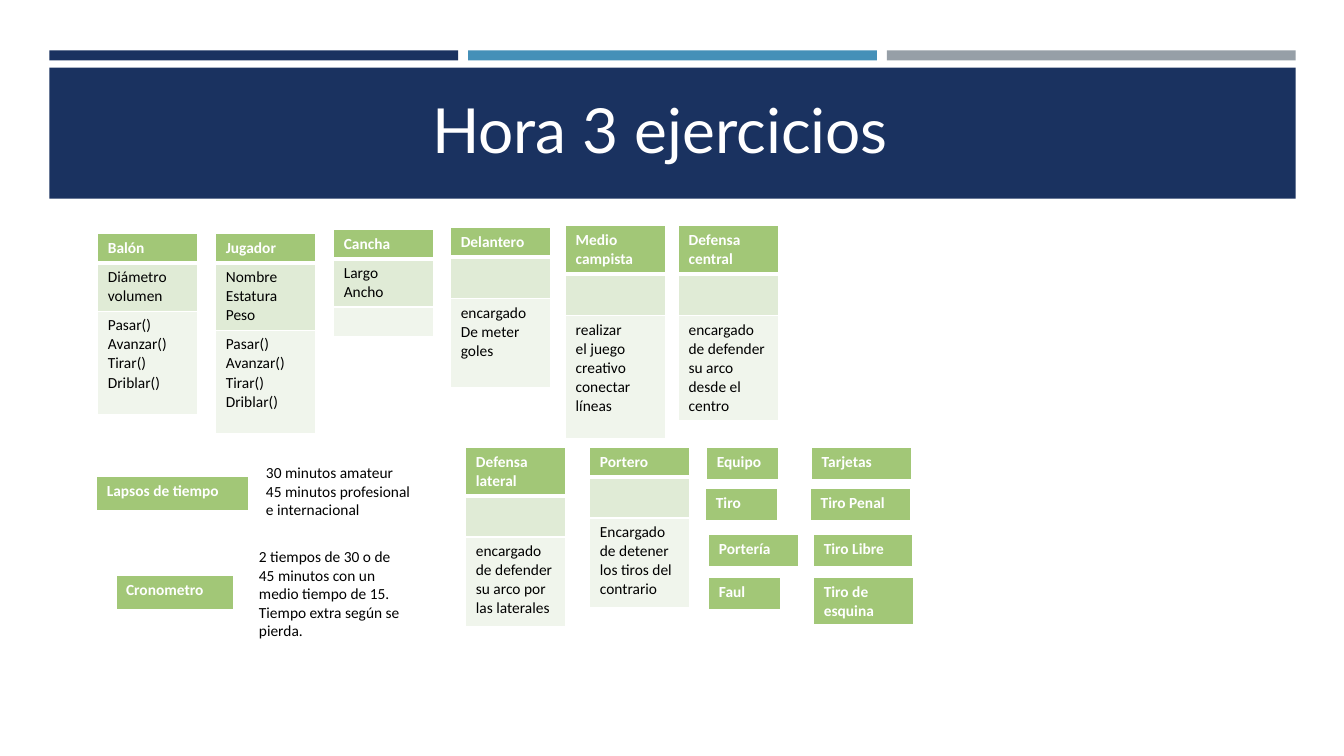
from dataclasses import dataclass

import pptx
import pptx.dml.color
import pptx.enum.shapes
import pptx.enum.text
import pptx.oxml
import pptx.oxml.ns
import pptx.util

Inches, Pt = pptx.util.Inches, pptx.util.Pt


@dataclass(frozen=True)
class Theme:
    navy: str = "1A3260"
    blue: str = "4590B8"
    gray: str = "969FA7"
    white: str = "FFFFFF"
    black: str = "000000"
    head: str = "A2C777"
    attributes: str = "E0EBD6"
    methods: str = "F0F5EC"
    title_font: str = "Lato"
    body_font: str = "Calibri"
    title_size: float = 44.4
    body_size: float = 11


T = Theme()
ONE_LINE, TWO_LINES, THREE_LINES = 0.28, 0.47, 0.66
EMPTY = 0.41

# Class boxes: left, top, then text and height of each row
CLASSES = [
    (0.97, 2.32, [("Balón", ONE_LINE), ("Diámetro\nvolumen", TWO_LINES),
                  ("Pasar()\nAvanzar()\nTirar()\nDriblar()", 1.03)]),
    (2.14, 2.32, [("Jugador", ONE_LINE), ("Nombre\nEstatura\nPeso", THREE_LINES),
                  ("Pasar()\nAvanzar()\nTirar()\nDriblar()", 1.03)]),
    (4.47, 2.26, [("Delantero", ONE_LINE), ("", EMPTY),
                  ("encargado\nDe meter goles", 0.89)]),
    (3.31, 2.28, [("Cancha", ONE_LINE), ("Largo\nAncho", TWO_LINES), ("", ONE_LINE)]),
    (5.61, 2.24, [("Medio campista", TWO_LINES), ("", EMPTY),
                  ("realizar\nel juego\ncreativo\nconectar líneas", 1.22)]),
    (6.73, 2.24, [("Defensa central", TWO_LINES), ("", EMPTY),
                  ("encargado de defender su arco desde el centro", 1.03)]),
    (4.62, 4.44, [("Defensa lateral", TWO_LINES), ("", EMPTY),
                  ("encargado de defender su arco por las laterales", 0.89)]),
    (5.85, 4.44, [("Portero", ONE_LINE), ("", EMPTY),
                  ("Encargado de detener los tiros del contrario", 0.89)]),
]

# Single-name boxes: text, left, top, width, height
TAGS = [
    ("Lapsos de tiempo", 0.96, 4.73, 1.51, 0.35),
    ("Cronometro", 1.15, 5.71, 1.17, 0.35),
    ("Equipo", 7.01, 4.44, 0.71, 0.33),
    ("Tiro", 7.0, 4.85, 0.71, 0.33),
    ("Portería", 7.03, 5.3, 0.89, 0.33),
    ("Faul", 7.03, 5.73, 0.71, 0.33),
    ("Tarjetas", 8.05, 4.44, 0.99, 0.33),
    ("Tiro Penal", 8.04, 4.85, 0.99, 0.33),
    ("Tiro Libre", 8.07, 5.3, 0.98, 0.33),
    ("Tiro de esquina", 8.07, 5.73, 0.99, TWO_LINES),
]

# Explanations: text, left, top, width, height
NOTES = [
    ("30 minutos amateur\n45 minutos profesional e internacional", 2.54, 4.55, 1.67, 0.66),
    ("2 tiempos de 30 o de 45 minutos con un medio tiempo de 15.\n"
     "Tiempo extra según se pierda.", 2.47, 5.38, 1.67, 1.03),
]


def rgb(color):
    return pptx.dml.color.RGBColor.from_string(color)


def write(tf, text, font=T.body_font, size=T.body_size, color=T.black,
          bold=False, align=None, after=None):
    """Write one paragraph for each line of text."""
    tf.word_wrap = True
    for i, line in enumerate(text.split("\n")):
        p = tf.paragraphs[0] if i == 0 else tf.add_paragraph()
        p.alignment = align
        p.space_after = after
        if not line:
            p._p.get_or_add_endParaRPr().set("sz", str(int(size * 100)))
            continue
        r = p.add_run()
        r.text = line
        r.font.name, r.font.size, r.font.bold = font, Pt(size), bold
        r.font.color.rgb = rgb(color)


def add_borders(cell, bottom):
    tcPr = cell._tc.get_or_add_tcPr()
    sides = (("lnL", 1), ("lnR", 1), ("lnT", 1), ("lnB", bottom))
    for i, (side, width) in enumerate(sides):
        tcPr.insert(i, pptx.oxml.parse_xml(
            f'<a:{side} {pptx.oxml.ns.nsdecls("a")} w="{Pt(width)}"><a:solidFill>'
            f'<a:srgbClr val="{T.white}"/></a:solidFill></a:{side}>'))


def add_bar(s, x, y, w, h, color):
    sp = s.shapes.add_shape(pptx.enum.shapes.MSO_SHAPE.RECTANGLE,
                            Inches(x), Inches(y), Inches(w), Inches(h))
    sp.shadow.inherit = False
    sp.fill.solid()
    sp.fill.fore_color.rgb = rgb(color)
    sp.line.fill.background()


def add_header(s, x, y, w):
    """Three thin bars above a title band."""
    gap = 0.1
    bar_w = (w - 2 * gap) / 3
    for i, color in enumerate((T.navy, T.blue, T.gray)):
        add_bar(s, x + i * (bar_w + gap), y, bar_w, 0.1, color)
    add_bar(s, x, y + 0.17, w, 1.3, T.navy)

    title = s.shapes.title
    title.element.getparent().append(title.element)  # in front of the band
    title.left, title.top = Inches(x + 0.28), Inches(y + 0.37)
    title.width, title.height = Inches(11.71), Inches(0.82)
    title.text_frame.vertical_anchor = pptx.enum.text.MSO_ANCHOR.MIDDLE
    write(title.text_frame, "Hora 3 ejercicios ", font=T.title_font, size=T.title_size,
          color=T.white, align=pptx.enum.text.PP_ALIGN.CENTER, after=Pt(6))


def add_class(s, x, y, w, rows):
    """A one-column box: name, then any attributes and methods."""
    height = sum(h for _, h in rows)
    table = s.shapes.add_table(len(rows), 1, Inches(x), Inches(y),
                               Inches(w), Inches(height)).table
    table.horz_banding = False
    fills = (T.head, T.attributes, T.methods)
    for i, ((text, h), fill) in enumerate(zip(rows, fills)):
        table.rows[i].height = Inches(h)
        cell = table.cell(i, 0)
        is_head = i == 0
        cell.fill.solid()
        cell.fill.fore_color.rgb = rgb(fill)
        add_borders(cell, bottom=3 if is_head else 1)
        write(cell.text_frame, text, bold=is_head, color=T.white if is_head else T.black)


def add_note(s, text, x, y, w, h):
    tf = s.shapes.add_textbox(Inches(x), Inches(y), Inches(w), Inches(h)).text_frame
    write(tf, text)
    tf.auto_size = pptx.enum.text.MSO_AUTO_SIZE.SHAPE_TO_FIT_TEXT


def main():
    prs = pptx.Presentation()
    prs.slide_width, prs.slide_height = Inches(13.33), Inches(7.5)
    s = prs.slides.add_slide(prs.slide_layouts[5])
    add_header(s, 0.49, 0.5, 12.36)
    for x, y, rows in CLASSES:
        add_class(s, x, y, 0.99, rows)
    for text, x, y, w, h in TAGS:
        add_class(s, x, y, w, [(text, h)])
    for note in NOTES:
        add_note(s, *note)
    prs.save("out.pptx")


if __name__ == "__main__":
    main()
